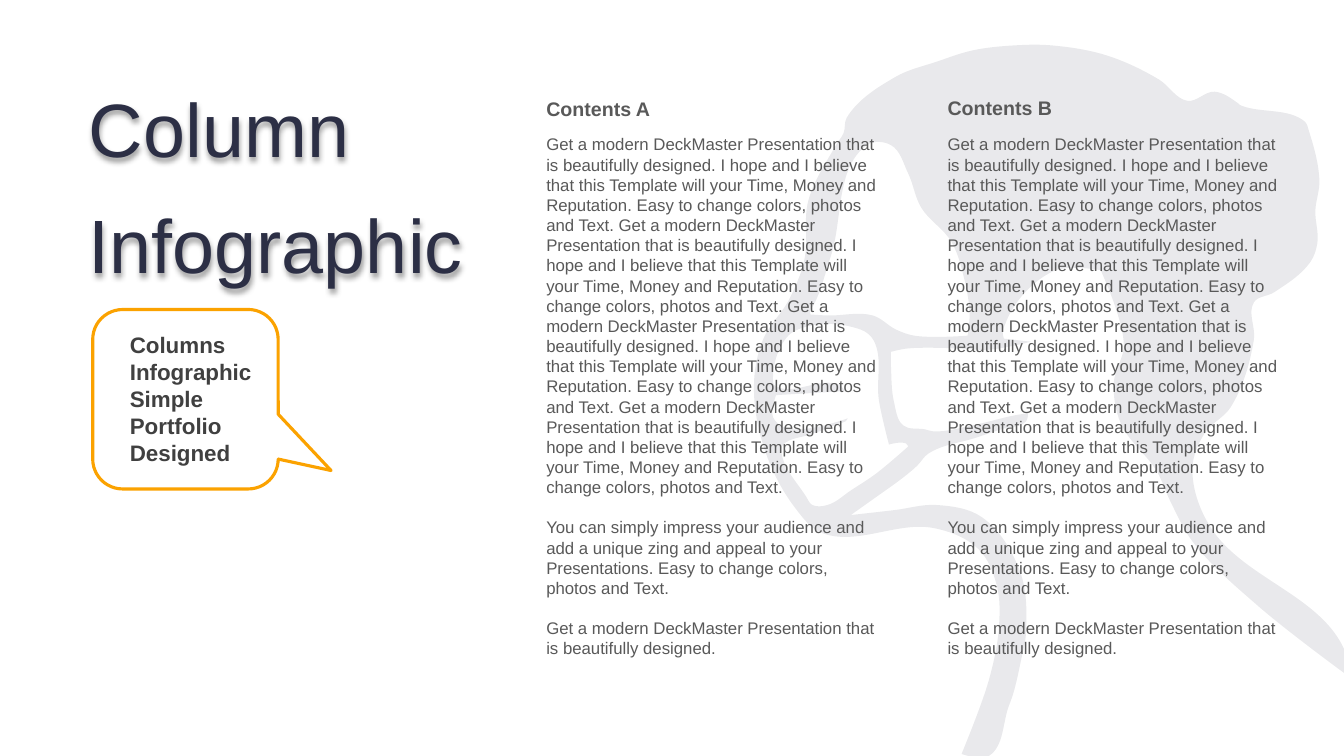
from lxml.etree import SubElement, fromstring
from pptx import Presentation
from pptx.dml.color import RGBColor
from pptx.enum.shapes import MSO_SHAPE
from pptx.enum.text import MSO_ANCHOR, MSO_AUTO_SIZE, PP_ALIGN
from pptx.oxml.ns import nsdecls, qn
from pptx.util import Pt

NAVY, GREY, DARK, AMBER = "2C2F45", "595959", "404040", "FBA200"
UNIT = Pt(0.72)

HEAD = """
1309,179 1298,128 1295,121 1232,105 1230,104 1229,103 1205,91 1178,100
1150,79 1098,55 1043,45 1007,45 965,50 930,61 889,76 840,117 837,132 830,143
802,199 798,258 783,297 757,337 748,383 759,447 789,504 816,529 927,524
971,545 989,581 991,623 981,675 954,748 981,750 1001,700 1005,689
1013,655 1018,627 1012,567 974,513 929,501 888,506 844,511 868,494 897,473
910,462 921,450 969,434 993,426 1018,418 1020,410 1007,412 969,421 926,428
918,426 896,422 887,399 884,364 884,349 898,346 928,345 955,346 981,347
1023,339 996,336 995,328 1045,269 1092,268 1115,342 1105,380 1112,420
1148,468 1161,497 1183,537 1248,601 1334,668 1334,645 1201,523 1183,465
1195,430 1221,404 1244,337 1244,300 1264,290 1300,260 1307,241 1305,209"""
HAND = """
882,441 899,440 901,443 869,470 845,486 821,501 806,501 800,493 775,446
777,441 804,431 810,429 833,420 839,418 841,415 781,425 767,414 770,392
804,390 838,388 833,382 768,382 767,379 774,345 789,328 854,327 867,338
872,397"""
FACE = """
960,333 907,333 889,327 866,313 821,313 804,312 804,307 807,303 824,255
860,144 884,144 901,172 914,206 944,240 957,278 962,312"""

PITCH = (
    "Get a modern DeckMaster Presentation that is beautifully designed. "
    "I hope and I believe that this Template will your Time, Money and "
    "Reputation. Easy to change colors, photos and Text."
)
STORY = [
    " ".join([PITCH] * 4),
    "You can simply impress your audience and add a unique zing and appeal to "
    "your Presentations. Easy to change colors, photos and Text.",
    "Get a modern DeckMaster Presentation that is beautifully designed.",
]


def tint(code):
    """Turn a hex string into a colour."""
    return RGBColor.from_string(code)


def apply(target, formats):
    """Set each format value on the target."""
    for name, value in formats.items():
        setattr(target, name, value)


def place(shape, left, top, width, height):
    """Move and size a shape, in points."""
    apply(shape, {"left": Pt(left), "top": Pt(top),
                  "width": Pt(width), "height": Pt(height)})


def write(shape, lines, size, color, bold=False, pitch=1.2, gap=0,
          anchor=MSO_ANCHOR.TOP):
    """Fill a text shape with formatted paragraphs."""
    frame = shape.text_frame
    frame.text = "\n".join(lines)
    apply(frame, {"word_wrap": True, "auto_size": MSO_AUTO_SIZE.NONE,
                  "vertical_anchor": anchor})
    for index, para in enumerate(frame.paragraphs):
        props = para._p.get_or_add_pPr()
        apply(para, {"alignment": PP_ALIGN.LEFT,
                     "line_spacing": Pt(round(size * pitch, 1)),
                     "space_before": Pt(gap if index else 0)})
        props.set("marL", "0")
        props.set("indent", "0")
        SubElement(props, qn("a:buNone"))
        for run in para.runs:
            apply(run.font, {"name": "Arial", "size": Pt(size), "bold": bold})
            run.font.color.rgb = tint(color)


def shade(shape):
    """Give the text of an unfilled shape a soft shadow."""
    shape.fill.background()
    shape.element.spPr.append(fromstring(
        f'<a:effectLst {nsdecls("a")}><a:outerShdw blurRad="50800" '
        'dist="38100" dir="5400000" algn="t" rotWithShape="0">'
        '<a:srgbClr val="000000"><a:alpha val="40000"/></a:srgbClr>'
        '</a:outerShdw></a:effectLst>'))


def slope(prev, here, after):
    """Return the unit direction at a knot, or zero at a corner."""
    enter, leave = here - prev, after - here
    enter, leave = enter / abs(enter), leave / abs(leave)
    if (enter * leave.conjugate()).real < 0.3:
        return 0
    return (enter + leave) / abs(enter + leave)


def read(text):
    """Return the knots of an outline, closed at its start."""
    knots = [complex(*map(float, pair.split(","))) * UNIT
             for pair in text.split()]
    return knots + knots[:1]


def bends(knots):
    """Return the two handles and the end of each curve."""
    ring = knots[:-1]
    dirs = [slope(ring[i - 1], ring[i], knots[i + 1])
            for i in range(len(ring))]
    dirs.append(dirs[0])
    curves = []
    for i, (start, end) in enumerate(zip(knots, knots[1:])):
        reach = abs(end - start) / 3
        curves.append((start + dirs[i] * reach, end - dirs[i + 1] * reach, end))
    return curves


def figure(slide):
    """Draw the pale thinker behind the text."""
    rings = [read(text) for text in (HEAD, HAND, FACE)]
    head = rings[0]
    maker = slide.shapes.build_freeform(head[0].real, head[0].imag)
    for ring in rings:
        if ring is not head:
            maker.move_to(ring[0].real, ring[0].imag)
        maker.add_line_segments([(dot.real, dot.imag) for dot in ring[1:]])
    shape = maker.convert_to_shape()
    origin = complex(shape.left, shape.top)
    curves = [curve for ring in rings for curve in bends(ring)]
    sides = list(shape.element.spPr.iter(qn("a:lnTo")))
    for side, curve in zip(sides, curves):
        side.tag = qn("a:cubicBezTo")
        side.clear()
        for dot in curve:
            spot = dot - origin
            SubElement(side, qn("a:pt"), x=str(round(spot.real)),
                       y=str(round(spot.imag)))
    shape.shadow.inherit = False
    shape.line.fill.background()
    shape.fill.solid()
    shape.fill.fore_color.rgb = tint(NAVY)
    color = shape.element.spPr.find(qn("a:solidFill"))[0]
    SubElement(color, qn("a:alpha"), val="10000")
    slide.shapes.title.element.addprevious(shape.element)


def callout(slide):
    """Draw the speech bubble and its words."""
    note = slide.shapes.add_textbox(Pt(85.7), Pt(233.3), Pt(113), Pt(104.4))
    write(note, ["Columns Infographic Simple Portfolio Designed"], 16, DARK, True)
    bubble = slide.shapes.add_shape(
        MSO_SHAPE.ROUNDED_RECTANGULAR_CALLOUT,
        Pt(68.4), Pt(218.9), Pt(128.2), Pt(132.5))
    apply(bubble, {"rotation": 270})
    bubble.shadow.inherit = False
    bubble.fill.background()
    bubble.line.color.rgb = tint(AMBER)
    bubble.line.width = Pt(2.25)
    for index, value in enumerate((-0.397, 0.785, 0.167)):
        bubble.adjustments[index] = value


def column(head, body, name, left, top):
    """Set one heading with its story."""
    place(head, left, top, 251.3, 24.5)
    write(head, [name], 14, GREY, True)
    place(body, left, 92.2, 251.3, 399.6)
    write(body, STORY, 12, GREY, gap=14.4)


def main():
    """Build and save the slide."""
    deck = Presentation()
    apply(deck, {"slide_width": Pt(960), "slide_height": Pt(540)})
    slide = deck.slides.add_slide(deck.slide_layouts.get_by_name("Comparison"))
    title, *boxes = slide.placeholders
    place(title, 56.2, 54.7, 298, 147.6)
    write(title, ["Column", "Infographic"], 54, NAVY, pitch=4 / 3, gap=10.8,
          anchor=MSO_ANCHOR.MIDDLE)
    shade(title)
    column(*boxes[:2], "Contents A", 383, 65.5)
    column(*boxes[2:], "Contents B", 669.6, 64.8)
    callout(slide)
    figure(slide)
    deck.save("out.pptx")


if __name__ == "__main__":
    main()
